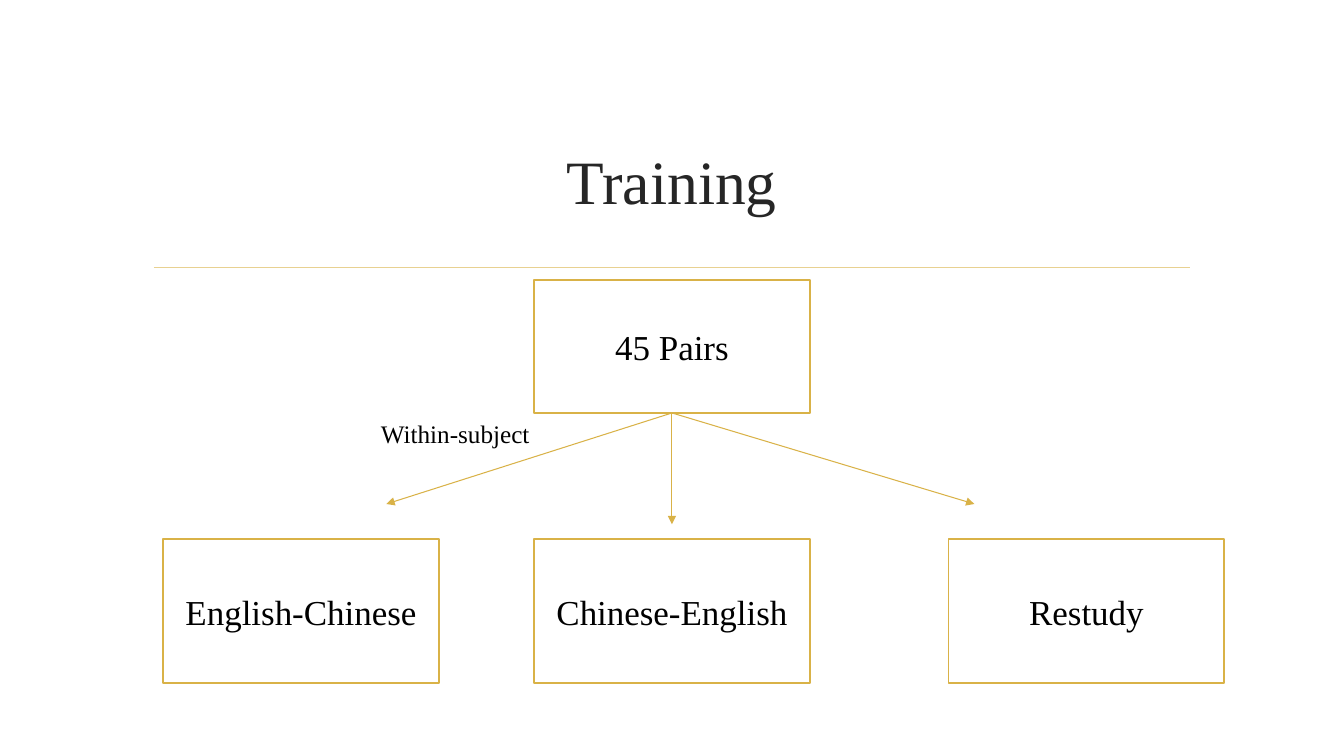
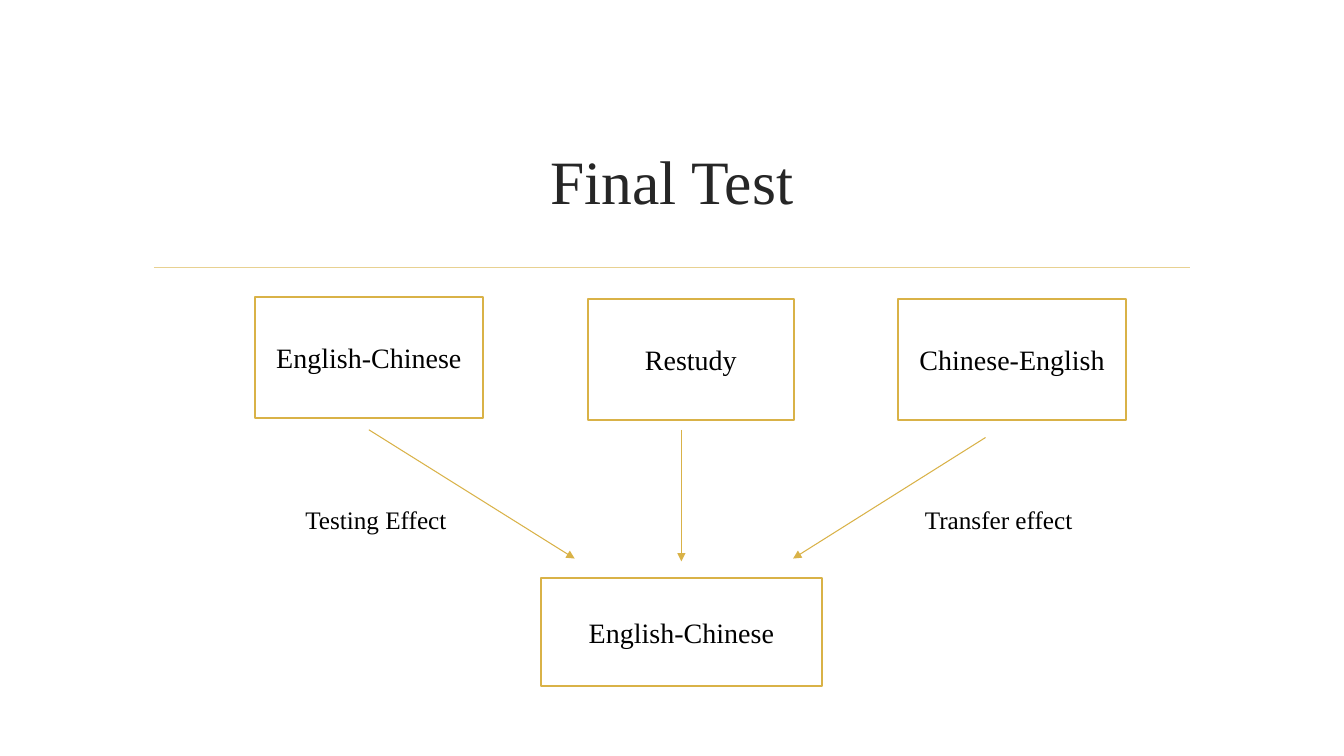
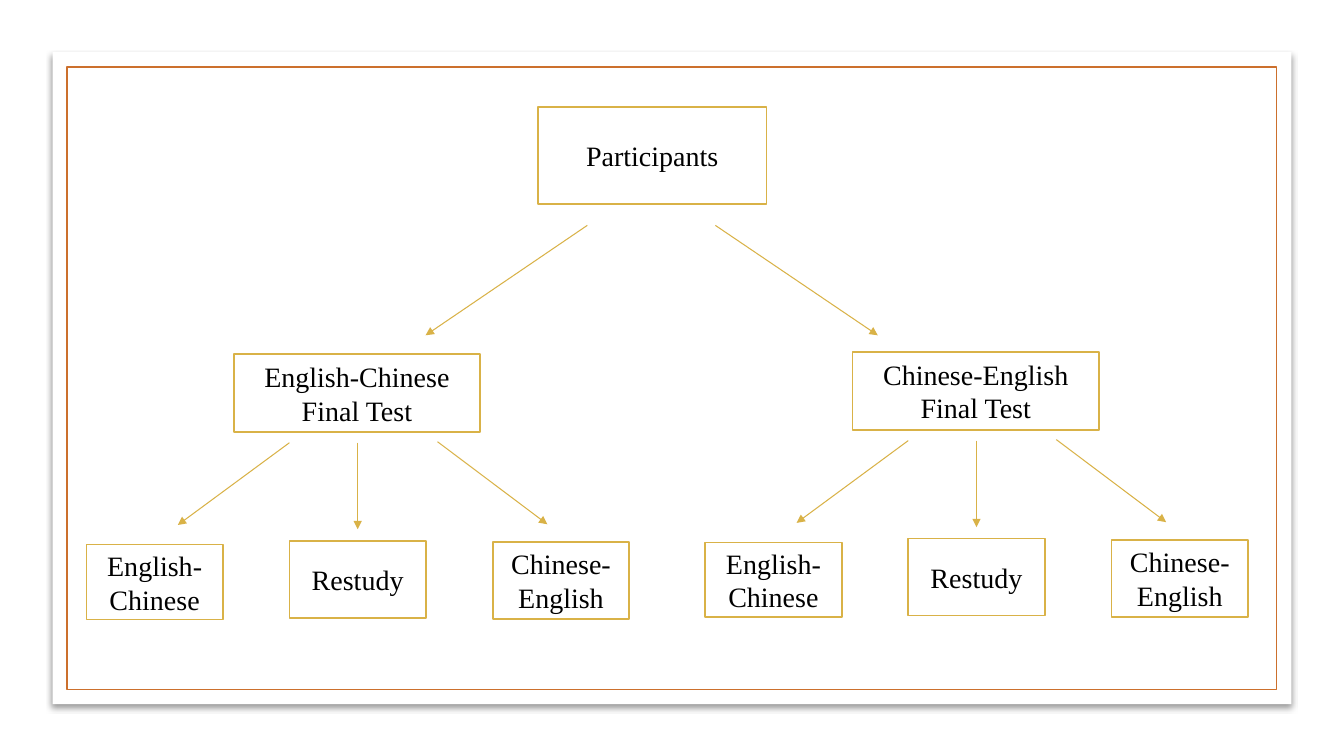
import pptx
import pptx.util
import pptx.dml.color
import pptx.enum.shapes
import pptx.enum.text
import pptx.oxml
import pptx.oxml.ns
import lxml.etree

Pt = pptx.util.Pt
qn = pptx.oxml.ns.qn
RECTANGLE = pptx.enum.shapes.MSO_SHAPE.RECTANGLE
STRAIGHT = pptx.enum.shapes.MSO_CONNECTOR.STRAIGHT
MIDDLE = pptx.enum.text.MSO_ANCHOR.MIDDLE
CENTER = pptx.enum.text.PP_ALIGN.CENTER
FONT = "Times New Roman"
HEX = {
    "paper": "FFFFFF",
    "title": "262626",
    "text": "000000",
    "gold": "D9B247",
    "rule": "E8D191",
    "frame": "CC702D",
}
COLOUR = {name: pptx.dml.color.RGBColor.from_string(value) for name, value in HEX.items()}


def add_box(slide, text, left, top, width, height, size=20):
    box = slide.shapes.add_shape(RECTANGLE, Pt(left), Pt(top), Pt(width), Pt(height))
    box.shadow.inherit = False
    box.fill.solid()
    box.fill.fore_color.rgb = COLOUR["paper"]
    box.line.color.rgb = COLOUR["gold"]
    box.line.width = Pt(1.25)
    box.text_frame.text = text
    box.text_frame.vertical_anchor = MIDDLE
    paragraph = box.text_frame.paragraphs[0]
    paragraph.alignment = CENTER
    font = paragraph.runs[0].font
    font.name, font.size, font.color.rgb = FONT, Pt(size), COLOUR["text"]
    return box


def add_line(slide, x1, y1, x2, y2, colour="gold", width=0.75, arrow=True):
    line = slide.shapes.add_connector(STRAIGHT, Pt(x1), Pt(y1), Pt(x2), Pt(y2))
    line.line.color.rgb = COLOUR[colour]
    line.line.width = Pt(width)
    if arrow:
        lxml.etree.SubElement(line.line._get_or_add_ln(), qn("a:tailEnd"), type="triangle")
    lxml.etree.SubElement(line._element.spPr, qn("a:effectLst"))
    return line


deck = pptx.Presentation()
deck.slide_width, deck.slide_height = Pt(960), Pt(540)
title_only, blank = deck.slide_layouts[5], deck.slide_layouts[6]

titled = []
for heading in ("Training", "Final Test"):
    slide = deck.slides.add_slide(title_only)
    title = slide.shapes.title
    title.left, title.top, title.width, title.height = Pt(102), Pt(77), Pt(756), Pt(103)
    title.text_frame.text = heading
    title.text_frame.vertical_anchor = MIDDLE
    title.text_frame.paragraphs[0].alignment = CENTER
    font = title.text_frame.paragraphs[0].runs[0].font
    font.name, font.size, font.color.rgb = FONT, Pt(44), COLOUR["title"]
    add_line(slide, 110, 191, 850, 191, "rule", 1.25, arrow=False)
    titled.append(slide)
training, final_test = titled

for condition, left in (("English-Chinese", 116.5), ("Chinese-English", 381.5), ("Restudy", 677.5)):
    add_box(training, condition, left, 385, 197, 103, 25)
pairs = add_box(training, "45 Pairs", 381.5, 200, 197, 95, 25)
for x, y in ((276, 360), (480, 374.5), (696, 360)):
    add_line(training, 480, 295, x, y).begin_connect(pairs, 2)

for condition, left, top, width in (
    ("English-Chinese", 182, 212, 163),
    ("Restudy", 420, 213.5, 147),
    ("Chinese-English", 641.5, 213.5, 163),
):
    add_box(final_test, condition, left, top, width, 86.5)
add_box(final_test, "English-Chinese", 386.5, 413, 200.5, 77)
for ends in ((263.5, 307, 410.5, 399), (486.75, 307, 486.75, 401), (704, 312.5, 566.5, 399)):
    add_line(final_test, *ends)

for slide, caption, left, top, width in (
    (training, "Within-subject", 265, 295, 232.5),
    (final_test, "Testing Effect", 211, 357, 150.5),
    (final_test, "Transfer effect", 653.5, 357, 150.5),
):
    label = slide.shapes.add_textbox(Pt(left), Pt(top), Pt(width), Pt(29))
    label.text_frame.word_wrap = True
    label.text_frame.text = caption
    font = label.text_frame.paragraphs[0].runs[0].font
    font.name, font.size, font.color.rgb = FONT, Pt(18), COLOUR["text"]

design = deck.slides.add_slide(blank)
card = design.shapes.add_shape(RECTANGLE, Pt(37.5), Pt(37), Pt(885), Pt(466))
card.shadow.inherit = False
card.fill.solid()
card.fill.fore_color.rgb = COLOUR["paper"]
card.line.fill.background()
shadow = lxml.etree.SubElement(
    card._element.spPr.find(qn("a:effectLst")), qn("a:outerShdw"),
    blurRad=str(Pt(4)), dist=str(Pt(3)), dir="5400000", algn="ctr", rotWithShape="0",
)
shade = lxml.etree.SubElement(shadow, qn("a:srgbClr"), val=HEX["text"])
lxml.etree.SubElement(shade, qn("a:alpha"), val="40000")

frame = design.shapes.add_shape(RECTANGLE, Pt(47.75), Pt(48), Pt(864), Pt(444.5))
frame.shadow.inherit = False
frame.fill.background()
frame.line.color.rgb = COLOUR["frame"]
frame.line.width = Pt(1.25)

add_box(design, "Participants", 384.5, 76.5, 163, 69.5)
for x1, x2 in ((419.5, 304), (511, 627)):
    add_line(design, x1, 161, x2, 239.5)

for test, dx, dy in (("English-Chinese", 0, 0), ("Chinese-English", 442, -1.5)):
    add_box(design, f"{test} Final Test", 167 + dx, 253 + dy, 176, 55.5)
    for condition, left, top, height in (
        ("English-Chinese", 61.75, 389, 53.5),
        ("Restudy", 206.75, 386.25, 55),
        ("Chinese-English", 352, 387.25, 55),
    ):
        add_box(design, condition, left + dx, top + dy, 97.5, height)
    for x1, y1, x2, y2 in (
        (206.75, 316.25, 127, 375),
        (255.5, 316.25, 255.5, 378),
        (312.5, 315.5, 391, 374.5),
    ):
        add_line(design, x1 + dx, y1 + dy, x2 + dx, y2 + dy)

deck.save("out.pptx")
